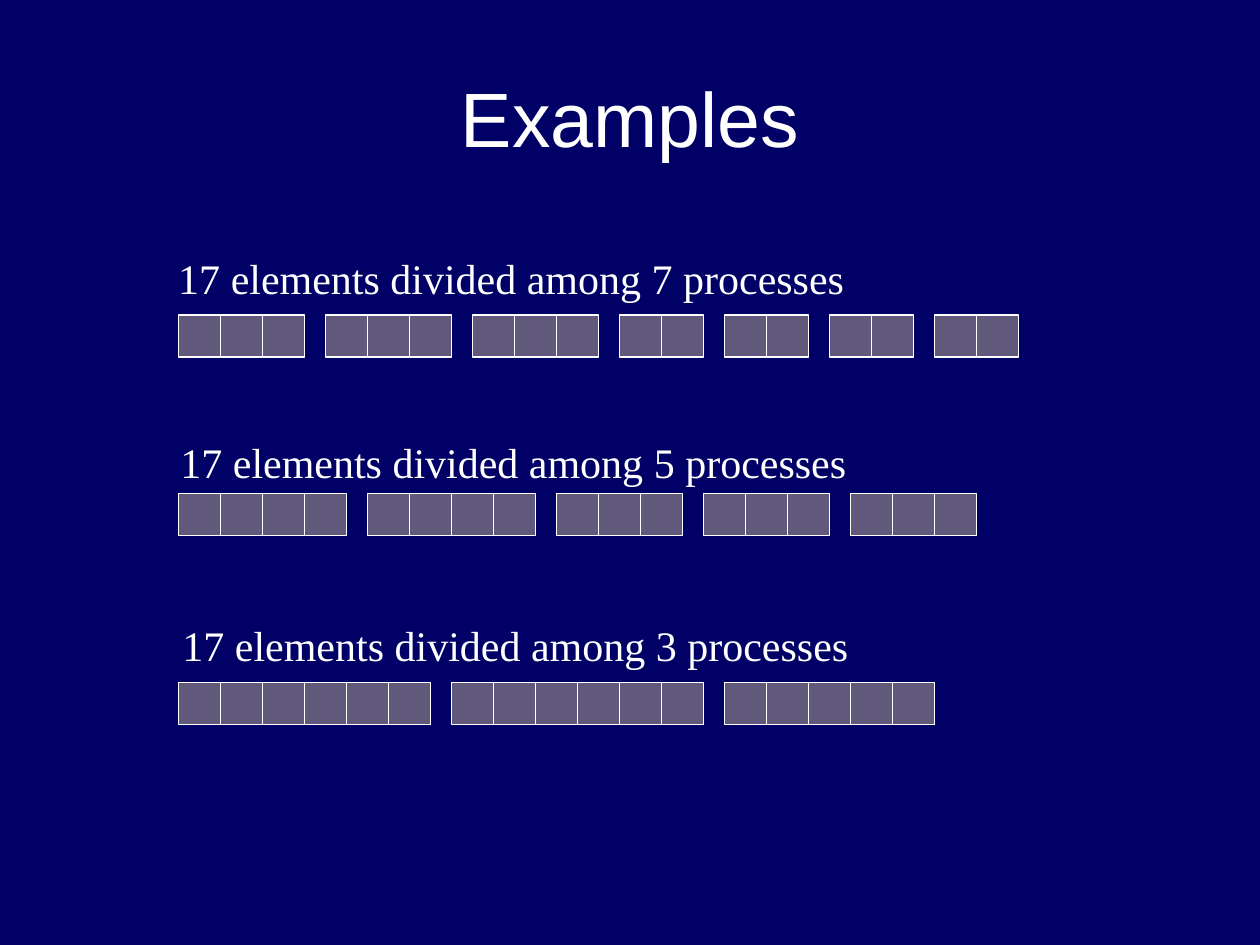
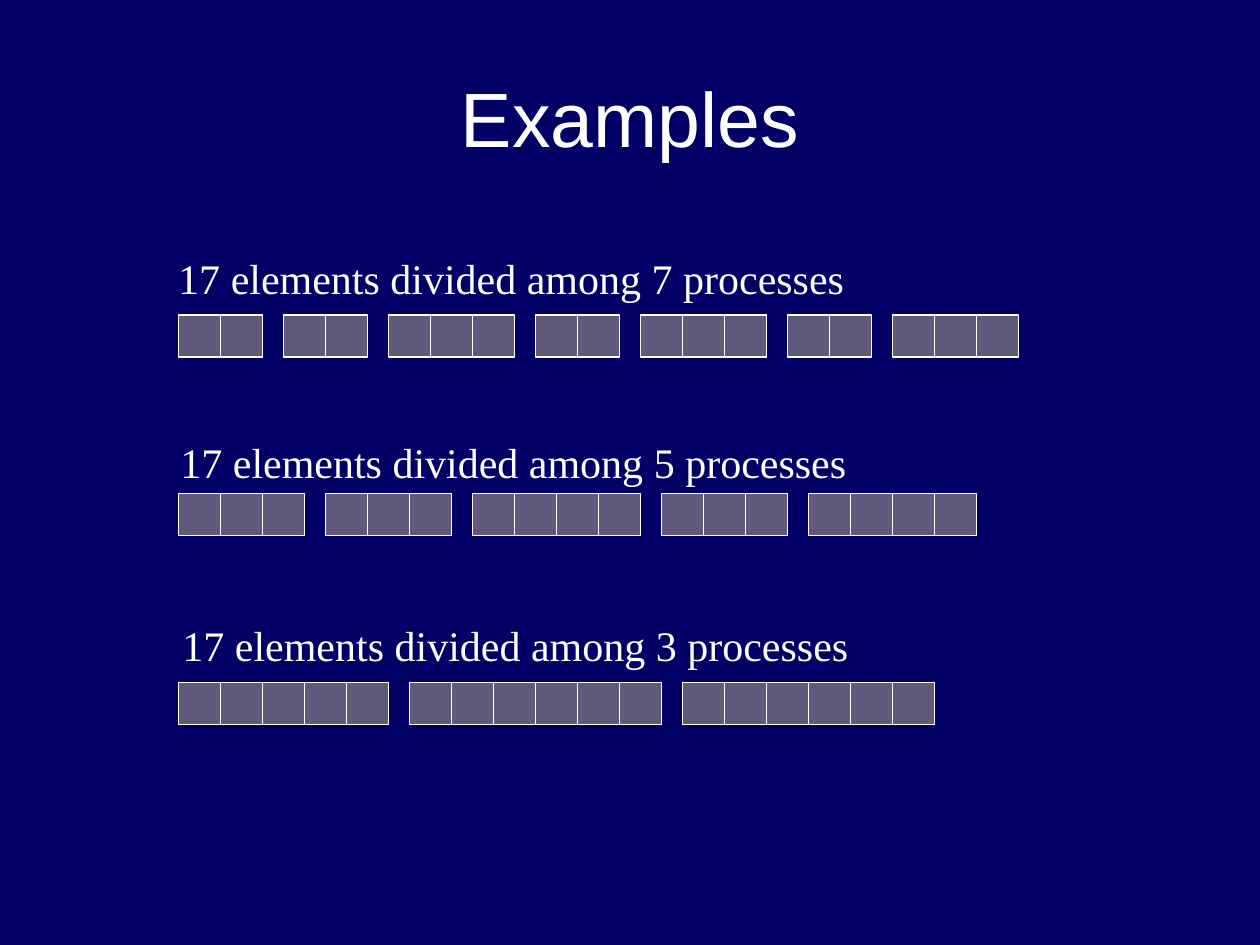
from pptx import Presentation
from pptx import util as u
from pptx.dml.color import RGBColor
from pptx.enum import shapes, text

PX = 7620  # EMU per px, 120 px to the inch
COLORS = {"background": "000066", "cell": "60597B", "white": "FFFFFF"}
ELEMENTS = 17
CELL, GAP, ROW_LEFT = 40, 20, 170
# process count, caption left, caption top, row top
EXAMPLES = [(7, 158, 235, 300), (5, 160, 410, 470), (3, 162, 584, 650)]


def color(name):
    return RGBColor.from_string(COLORS[name])


def larger_blocks_first(count, processes):
    size, extra = divmod(count, processes)
    return [size + (index < extra) for index in range(processes)]


def spread_blocks(count, processes):
    """Block i runs from floor(i*n/p) up to floor((i+1)*n/p)."""
    return [(index + 1) * count // processes - index * count // processes
            for index in range(processes)]


class Deck:
    def __init__(self):
        self.presentation = Presentation()
        self.presentation.slide_width = u.Emu(1200 * PX)
        self.presentation.slide_height = u.Emu(900 * PX)
        self.slide = None

    def add_slide(self):
        self.slide = self.presentation.slides.add_slide(self.presentation.slide_layouts[6])
        fill = self.slide.background.fill
        fill.solid()
        fill.fore_color.rgb = color("background")

    def add_text(self, parent, content, box, font_name, size):
        shape = parent.shapes.add_textbox(*(u.Emu(value * PX) for value in box))
        paragraph = shape.text_frame.paragraphs[0]
        run = paragraph.add_run()
        run.text = content
        run.font.name = font_name
        run.font.size = u.Pt(size)
        run.font.color.rgb = color("white")
        return shape.text_frame

    def add_title(self, content):
        frame = self.add_text(self.slide, content, (60, 36, 1080, 150), "Arial", 44)
        frame.word_wrap = True
        frame.vertical_anchor = text.MSO_ANCHOR.MIDDLE
        frame.paragraphs[0].alignment = text.PP_ALIGN.CENTER

    def add_caption(self, parent, content, left, top):
        frame = self.add_text(parent, content, (left, top, 658, 60), "Times New Roman", 24)
        frame.word_wrap = False
        frame.auto_size = text.MSO_AUTO_SIZE.SHAPE_TO_FIT_TEXT

    def add_cell(self, parent, left, top):
        shape = parent.shapes.add_shape(
            shapes.MSO_SHAPE.RECTANGLE,
            *(u.Emu(value * PX) for value in (left, top, CELL, CELL)))
        shape.shadow.inherit = False
        shape.fill.solid()
        shape.fill.fore_color.rgb = color("cell")
        shape.line.color.rgb = color("white")
        shape.line.width = u.Pt(0.75)

    def add_blocks(self, parent, sizes, top):
        left = ROW_LEFT
        for size in sizes:
            for _ in range(size):
                self.add_cell(parent, left, top)
                left += CELL
            left += GAP

    def add_examples(self, divide):
        self.add_slide()
        self.add_title("Examples")
        for processes, caption_left, caption_top, row_top in EXAMPLES:
            group = self.slide.shapes.add_group_shape()
            self.add_caption(group, f"{ELEMENTS} elements divided among {processes} processes",
                             caption_left, caption_top)
            self.add_blocks(group, divide(ELEMENTS, processes), row_top)


def main():
    deck = Deck()
    for divide in (larger_blocks_first, spread_blocks):
        deck.add_examples(divide)
    deck.presentation.save("out.pptx")


if __name__ == "__main__":
    main()
